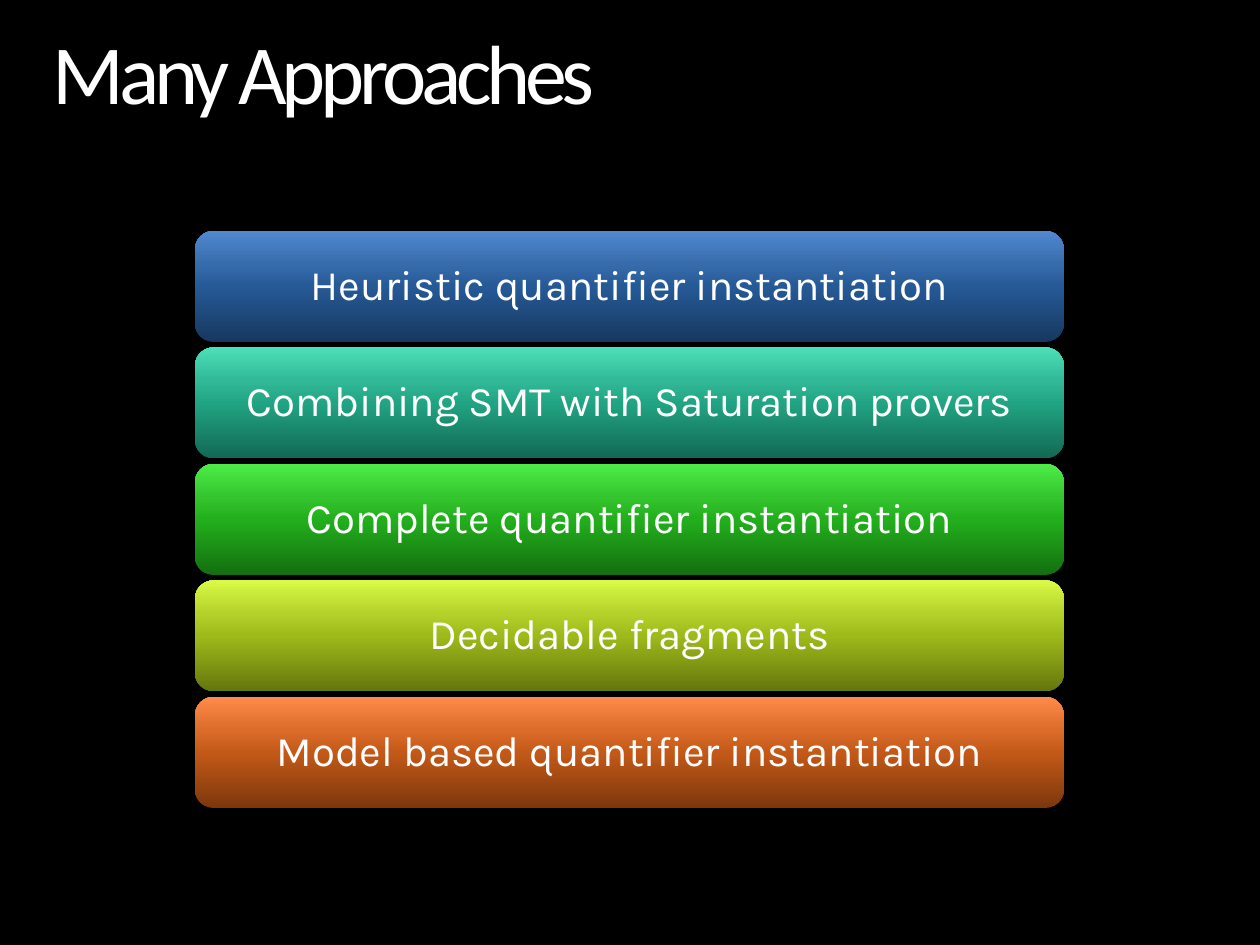
import copy

from pptx import Presentation
from pptx.dml.color import RGBColor
from pptx.enum import shapes, text
from pptx import util as u

PX = 914400 / 126  # EMU per pixel

THEME = {
    "background": "000000",
    "text": "FFFFFF",
    "title": {"name": "Calibri", "size": u.Pt(48)},
    "bar": {"name": "Karla", "size": u.Pt(24)},
    "stops": (0, 0.5, 0.7, 1),
}

APPROACHES = [
    ("Heuristic quantifier instantiation", "163860 265A97 376CAC 5188D0"),
    ("Combining SMT with Saturation provers", "126853 21A483 32B997 4CDFB8"),
    ("Complete quantifier instantiation", "136F0F 23AF1D 34C52E 4DED48"),
    ("Decidable fragments", "64760D 9EB91A B4D12B D9FA45"),
    ("Model based quantifier instantiation", "7C370C C35918 DB6C2A FF8A4A"),
]
BAR_LEFT, BAR_TOP, BAR_WIDTH, BAR_HEIGHT = 195, 231, 869, 111
LAST_BAR_TOP = 697


def px(*lengths):
    return [u.Emu(round(length * PX)) for length in lengths]


def write(shape, words, style, frame_format, alignment):
    frame = shape.text_frame
    for name, value in frame_format.items():
        setattr(frame, name, value)
    paragraph = frame.paragraphs[0]
    paragraph.alignment = alignment
    paragraph.line_spacing = 0.9
    run = paragraph.add_run()
    run.text = words
    for name, value in style.items():
        setattr(run.font, name, value)
    run.font.color.rgb = RGBColor.from_string(THEME["text"])
    return run


presentation = Presentation()
presentation.slide_width, presentation.slide_height = px(1260, 945)
slide = presentation.slides.add_slide(presentation.slide_layouts[6])
slide.background.fill.solid()
slide.background.fill.fore_color.rgb = RGBColor.from_string(THEME["background"])

# Title, with tightened letter spacing
title = slide.shapes.add_textbox(*px(53, 32, 1155, 92))
title_format = dict.fromkeys(
    ("margin_left", "margin_top", "margin_right", "margin_bottom"), 0)
title_format["word_wrap"] = True
title_run = write(title, "Many Approaches", THEME["title"], title_format,
                  text.PP_ALIGN.LEFT)
title_run.font._element.set("spc", "-300")

# Stack of gradient bars, one per approach
pitch = (LAST_BAR_TOP - BAR_TOP) / (len(APPROACHES) - 1)
bar_format = {"word_wrap": True, "vertical_anchor": text.MSO_ANCHOR.MIDDLE}
for row, (approach, colours) in enumerate(APPROACHES):
    bar = slide.shapes.add_shape(
        shapes.MSO_SHAPE.ROUNDED_RECTANGLE,
        *px(BAR_LEFT, BAR_TOP + row * pitch, BAR_WIDTH, BAR_HEIGHT))
    bar.shadow.inherit = False
    bar.line.fill.background()

    # Widen the default two-stop gradient to four stops, dark at the bottom
    bar.fill.gradient()
    bar.fill.gradient_angle = 90
    stop_list = bar._element.spPr.xpath("./a:gradFill/a:gsLst")[0]
    while len(stop_list) < len(THEME["stops"]):
        stop_list.append(copy.deepcopy(stop_list[0]))
    for stop, position, colour in zip(
            bar.fill.gradient_stops, THEME["stops"], colours.split()):
        stop.position = position
        stop.color.rgb = RGBColor.from_string(colour)

    write(bar, approach, THEME["bar"], bar_format, text.PP_ALIGN.CENTER)

presentation.save("out.pptx")
